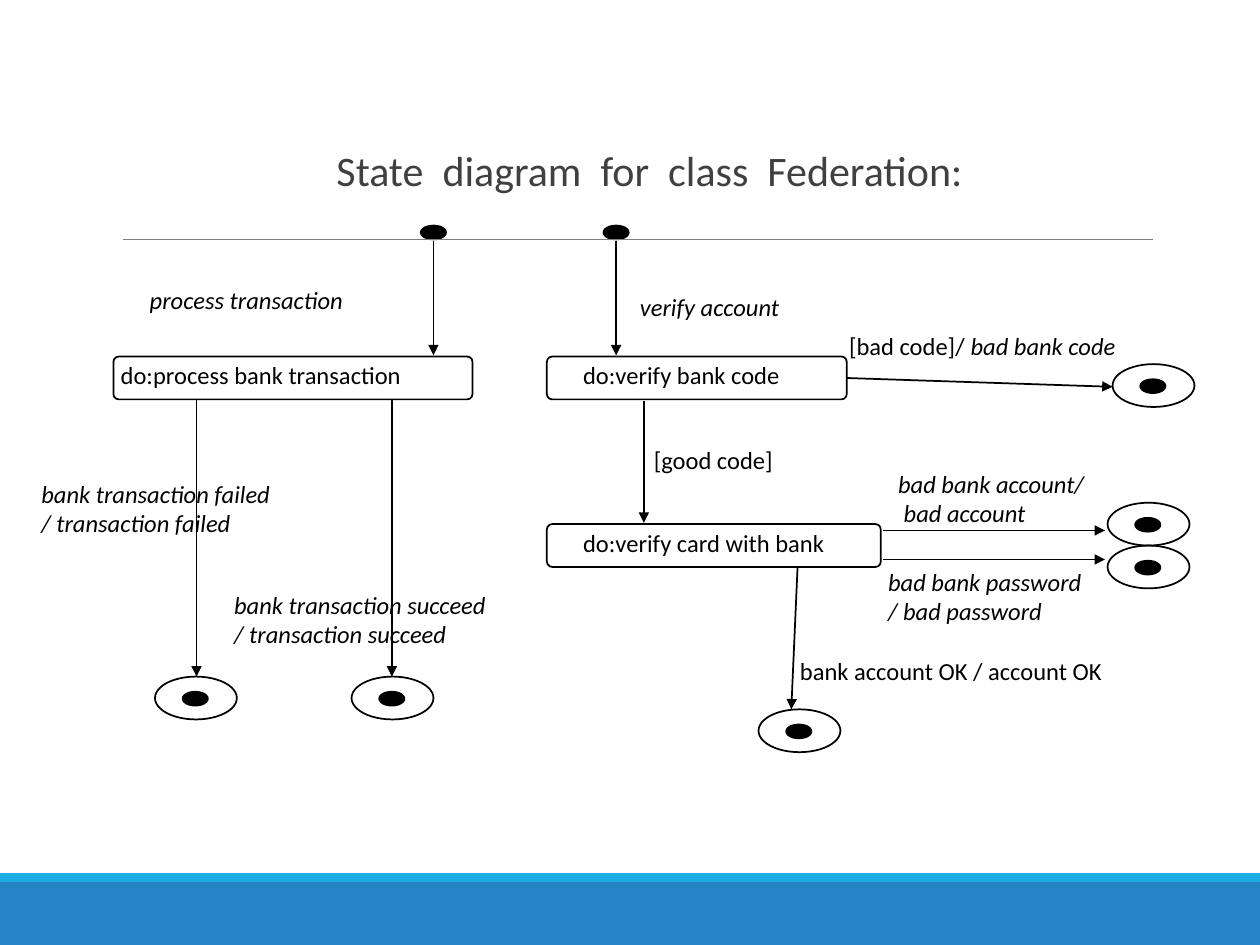
"""Build a slide with the state diagram for class Federation."""
from lxml import etree
from pptx import Presentation
from pptx.dml.color import RGBColor
from pptx.enum import shapes as kinds, text as txt
from pptx.oxml.ns import qn
from pptx.util import Inches, Pt

BLACK = "000000"


def rgb(value):
    return RGBColor.from_string(value)


def write(frame, *lines, size=14, color=BLACK, align=txt.PP_ALIGN.LEFT,
          anchor=txt.MSO_ANCHOR.TOP):
    frame.word_wrap = True
    frame.vertical_anchor = anchor
    for number, pieces in enumerate(lines):
        paragraph = frame.add_paragraph() if number else frame.paragraphs[0]
        paragraph.alignment = align
        for words, italic in pieces:
            run = paragraph.add_run()
            run.text = words
            run.font.name = "Calibri"
            run.font.size = Pt(size)
            run.font.italic = italic
            run.font.color.rgb = rgb(color)


deck = Presentation()
deck.slide_width, deck.slide_height = Inches(10), Inches(7.5)
slide = deck.slides.add_slide(deck.slide_layouts[5])
canvas = slide.shapes

heading = canvas.title
heading.left, heading.top = Inches(0.31), Inches(1.07)
heading.width, heading.height = Inches(9.69), Inches(0.55)
write(heading.text_frame, [("State  diagram  for  class  Federation:", False)], size=24,
      color="404040", align=txt.PP_ALIGN.CENTER, anchor=txt.MSO_ANCHOR.MIDDLE)

outlines = []
RECT, ROUND, OVAL = (kinds.MSO_SHAPE.RECTANGLE, kinds.MSO_SHAPE.ROUNDED_RECTANGLE,
                     kinds.MSO_SHAPE.OVAL)
for top, height, color in [(7, 0.5, "2683C6"), (6.93, 0.07, "1CADE4")]:
    band = canvas.add_shape(RECT, 0, Inches(top), Inches(10), Inches(height))
    band.shadow.inherit = False
    band.fill.solid()
    band.fill.fore_color.rgb = rgb(color)
    band.line.fill.background()

states = []
for left, top, width in [(0.9, 2.83, 2.85), (4.34, 4.16, 2.65), (4.34, 2.83, 2.38)]:
    state = canvas.add_shape(ROUND, Inches(left), Inches(top), Inches(width), Inches(0.34))
    state.adjustments[0] = 0.125
    state.fill.background()
    states.append(state)
outlines += states
bank_code_state = states[2]

for left in (3.34, 4.79):
    start = canvas.add_shape(OVAL, Inches(left), Inches(1.79), Inches(0.2), Inches(0.11))
    start.fill.solid()
    start.fill.fore_color.rgb = rgb(BLACK)
    outlines.append(start)

for left, top in [(8.83, 2.89), (8.79, 3.99), (8.79, 4.33),
                  (6.02, 5.63), (2.79, 5.37), (1.23, 5.37)]:
    final = canvas.add_group_shape().shapes
    core = final.add_shape(OVAL, Inches(left + 0.22), Inches(top + 0.12),
                           Inches(0.2), Inches(0.11))
    core.fill.solid()
    core.fill.fore_color.rgb = rgb(BLACK)
    ring = final.add_shape(OVAL, Inches(left), Inches(top), Inches(0.65), Inches(0.34))
    ring.fill.background()
    outlines += [core, ring]

for outline in outlines:
    outline.shadow.inherit = False
    outline.line.color.rgb = rgb(BLACK)
    outline.line.width = Pt(1)

for x1, y1, x2, y2, color, weight, source in [
    (0.98, 1.9, 9.15, 1.9, "808080", 0.5, None),
    (3.44, 1.91, 3.44, 2.82, BLACK, 1, None),
    (4.89, 1.91, 4.89, 2.82, BLACK, 1, None),
    (6.72, 3, 8.83, 3.07, BLACK, 1, bank_code_state),
    (7.01, 4.21, 8.77, 4.21, BLACK, 1, None),
    (7.01, 4.44, 8.77, 4.44, BLACK, 1, None),
    (5.11, 3.18, 5.11, 4.15, BLACK, 1, None),
    (6.33, 4.5, 6.28, 5.63, BLACK, 1, None),
    (3.11, 3.17, 3.11, 5.37, BLACK, 1, None),
    (1.56, 3.17, 1.56, 5.37, BLACK, 1, None),
]:
    transition = canvas.add_connector(kinds.MSO_CONNECTOR.STRAIGHT, Inches(x1), Inches(y1),
                                      Inches(x2), Inches(y2))
    transition.line.color.rgb = rgb(color)
    transition.line.width = Pt(weight)
    if source:
        transition.begin_connect(source, 3)
    if color == BLACK:
        etree.SubElement(transition.line._get_or_add_ln(), qn("a:tailEnd"), type="triangle")
    etree.SubElement(transition._element.spPr, qn("a:effectLst"))

for left, top, width, *lines in [
    (0.86, 2.81, 2.7, [("do:process bank transaction", False)]),
    (4.53, 2.81, 1.9, [("do:verify bank code", False)]),
    (4.53, 4.14, 2.26, [("do:verify card with bank", False)]),
    (1.09, 2.21, 1.9, [("process transaction", True)]),
    (4.98, 2.27, 1.41, [("verify account", True)]),
    (6.64, 2.58, 2.73, [("[bad code]/ ", False), ("bad bank code", True)]),
    (5.09, 3.48, 1.22, [("[good code]", False)]),
    (7.03, 3.67, 1.8, [("bad bank account/", True)], [(" bad account", True)]),
    (6.95, 4.45, 1.9, [("bad bank password", True)], [("/ bad password", True)]),
    (6.25, 5.16, 2.89, [("bank account OK / account OK", False)]),
    (0.23, 3.75, 2.16, [("bank transaction failed", True)], [("/ transaction failed", True)]),
    (1.76, 4.63, 2.42, [("bank transaction succeed", True)], [("/ transaction succeed", True)]),
]:
    label = canvas.add_textbox(Inches(left), Inches(top), Inches(width),
                               Inches(0.09 + 0.24 * len(lines)))
    write(label.text_frame, *lines)

deck.save("out.pptx")
